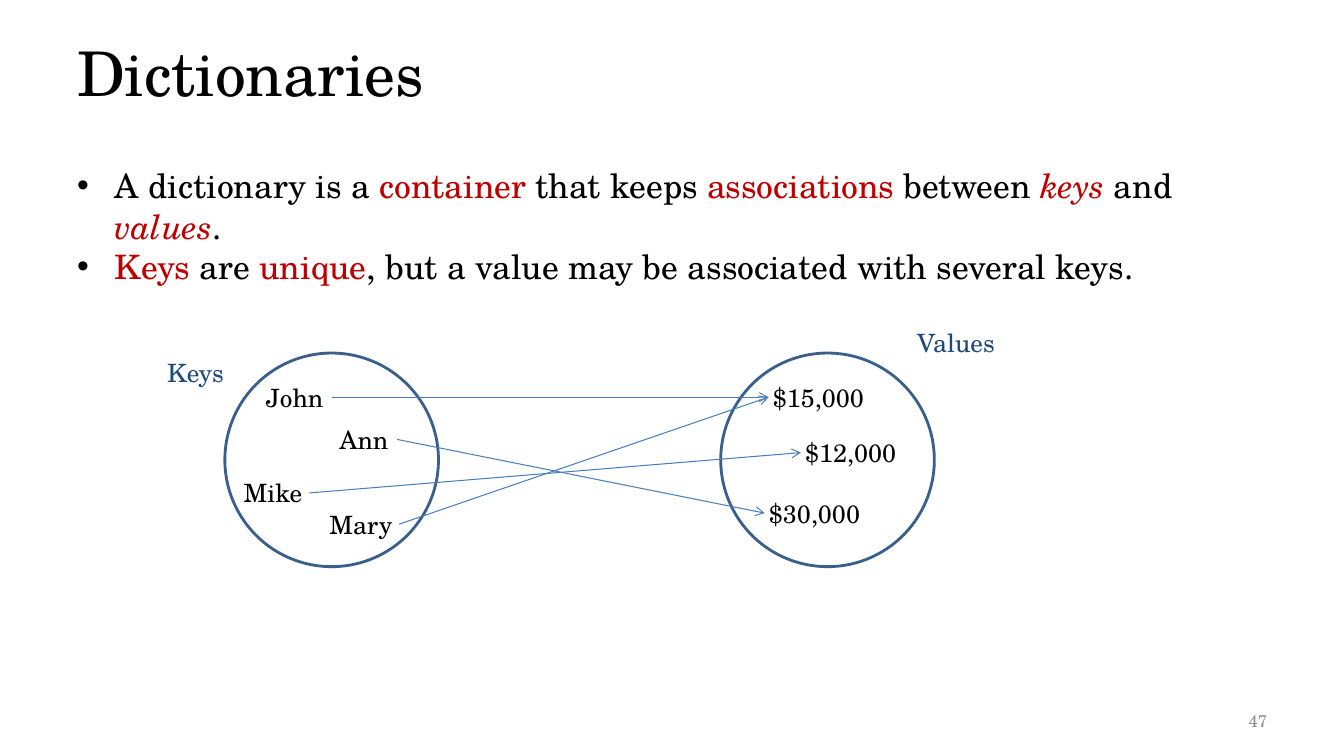
from lxml import etree
from pptx import Presentation
from pptx.dml.color import RGBColor
from pptx.enum.shapes import MSO_CONNECTOR, MSO_SHAPE
from pptx.enum.text import MSO_ANCHOR, PP_ALIGN
from pptx.oxml.ns import qn
from pptx.util import Pt

STRAIGHT = MSO_CONNECTOR.STRAIGHT
OVAL = MSO_SHAPE.OVAL
TOP, MIDDLE = MSO_ANCHOR.TOP, MSO_ANCHOR.MIDDLE
LEFT, RIGHT = PP_ALIGN.LEFT, PP_ALIGN.RIGHT

BLACK, RED, NAVY, GRAY = "000000", "C00000", "1F497D", "8B8B8B"
RING_BLUE, ARROW_BLUE = "3A5F8C", "4A7EBB"
LABEL_HEIGHT = 28.8


def color(hex_string):
    return RGBColor.from_string(hex_string)


class SlideBuilder:
    font_name = "TeX Gyre Schola"

    def __init__(self, slide):
        self.slide = slide

    def format_run(self, run, size, hex_color, italic=False):
        run.font.name = self.font_name
        run.font.size = Pt(size)
        run.font.color.rgb = color(hex_color)
        run.font.italic = italic

    def text_frame(self, left, top, width, height, wrap=True, anchor=TOP):
        shape = self.slide.shapes.add_textbox(
            Pt(left), Pt(top), Pt(width), Pt(height))
        shape.text_frame.word_wrap = wrap
        shape.text_frame.vertical_anchor = anchor
        return shape.text_frame

    def text(self, text, left, top, width, height, size, hex_color=BLACK,
             wrap=True, anchor=TOP, align=LEFT):
        text_frame = self.text_frame(left, top, width, height, wrap, anchor)
        text_frame.text = text
        paragraph = text_frame.paragraphs[0]
        paragraph.alignment = align
        self.format_run(paragraph.runs[0], size, hex_color)

    def label(self, text, left, top, width, hex_color=BLACK):
        self.text(text, left, top, width, LABEL_HEIGHT, 18, hex_color, wrap=False)

    def bullets(self, items, left, top, width, height, size):
        text_frame = self.text_frame(left, top, width, height)
        for index, pieces in enumerate(items):
            paragraph = text_frame.paragraphs[0] if index == 0 else text_frame.add_paragraph()
            for text, hex_color, italic in pieces:
                run = paragraph.add_run()
                run.text = text
                self.format_run(run, size, hex_color, italic)
            properties = paragraph._p.get_or_add_pPr()
            properties.set("marL", str(Pt(27)))
            properties.set("indent", str(-Pt(27)))
            bullet_color = etree.SubElement(properties, qn("a:buClr"))
            etree.SubElement(bullet_color, qn("a:srgbClr"), val=BLACK)
            etree.SubElement(properties, qn("a:buFont"), typeface="Arial")
            etree.SubElement(properties, qn("a:buChar"), char="•")

    def circle(self, left, top, diameter):
        shape = self.slide.shapes.add_shape(
            OVAL, Pt(left), Pt(top), Pt(diameter), Pt(diameter))
        shape.shadow.inherit = False
        shape.fill.background()
        shape.line.color.rgb = color(RING_BLUE)
        shape.line.width = Pt(2)

    def arrow(self, start, end):
        connector = self.slide.shapes.add_connector(
            STRAIGHT, *(Pt(value) for value in (*start, *end)))
        connector.line.color.rgb = color(ARROW_BLUE)
        connector.line.width = Pt(0.75)
        etree.SubElement(connector.line._get_or_add_ln(), qn("a:tailEnd"), type="arrow")
        etree.SubElement(connector._element.spPr, qn("a:effectLst"))


presentation = Presentation()
presentation.slide_width, presentation.slide_height = Pt(960), Pt(540)
builder = SlideBuilder(presentation.slides.add_slide(presentation.slide_layouts[6]))

# Title and explanation
builder.text("Dictionaries", 48, 21.6, 864, 90, 44)
builder.bullets([
    [("A dictionary is a ", BLACK, False), ("container", RED, False),
     (" that keeps ", BLACK, False), ("associations", RED, False),
     (" between ", BLACK, False), ("keys ", RED, True), ("and ", BLACK, False),
     ("values", RED, True), (".", BLACK, False)],
    [("Keys", RED, False), (" are ", BLACK, False), ("unique", RED, False),
     (", but a value may be associated with several keys.", BLACK, False)],
], 48, 114.5, 843, 137.5, 24)

# Sets of keys and values
for circle_left in (160.6, 514.8):
    builder.circle(circle_left, 252.2, 152.6)
builder.label("Keys", 112.3, 252, 60, NAVY)
builder.label("Values", 648, 230.4, 76, NAVY)

# Members: left, top, width
keys = {
    "John": (182.9, 269.3, 62),
    "Ann": (235.4, 299.5, 56.3),
    "Mike": (167, 337.7, 62),
    "Mary": (228.2, 360, 64.9),
}
values = {
    "$15,000": (545, 269.3, 88.6),
    "$12,000": (568.1, 308.9, 88.6),
    "$30,000": (542.2, 352.1, 88.6),
}
for name, place in (keys | values).items():
    builder.label(name, *place)

# Associations run from the right of a key to the left of its value
associations = {"John": "$15,000", "Ann": "$30,000", "Mike": "$12,000", "Mary": "$15,000"}
for key, value in associations.items():
    key_left, key_top, key_width = keys[key]
    value_left, value_top, _ = values[value]
    builder.arrow((key_left + key_width - 8, key_top + LABEL_HEIGHT / 2),
                  (value_left + 4, value_top + LABEL_HEIGHT / 2))

# Slide number
builder.text("47", 688.3, 500.4, 223.9, 28.8, 12, GRAY, anchor=MIDDLE, align=RIGHT)

presentation.save("out.pptx")
